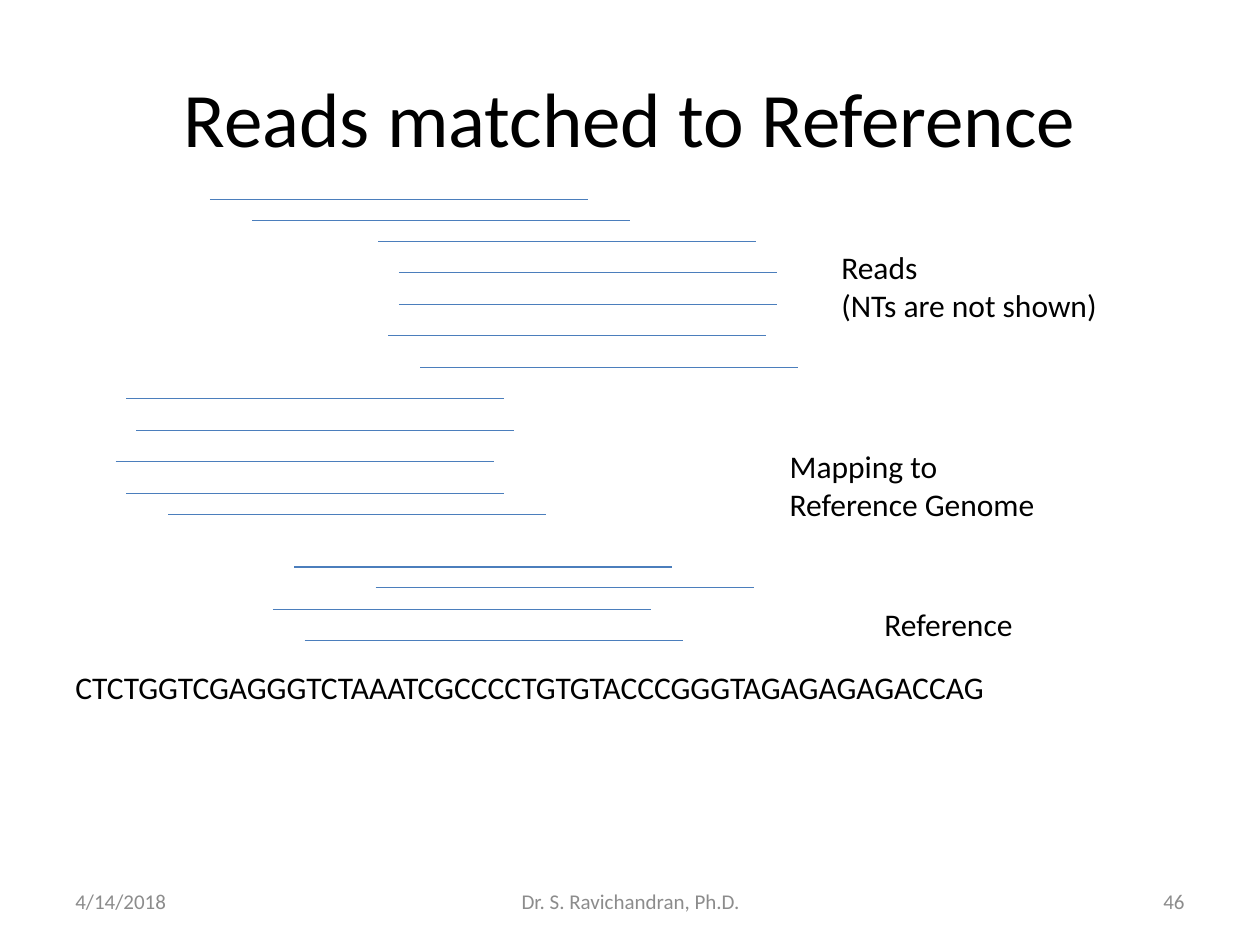
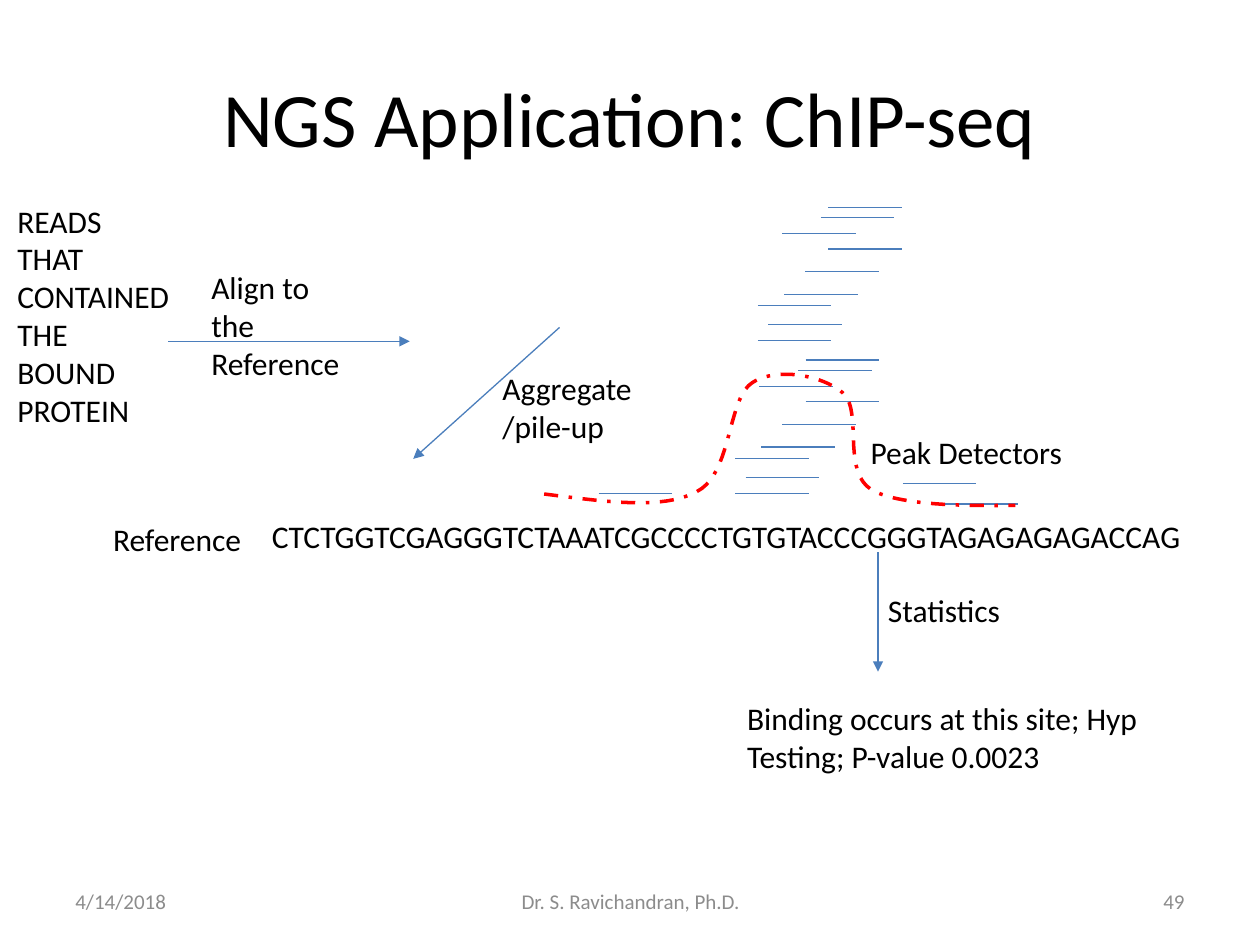
from lxml.etree import SubElement
from pptx import Presentation
from pptx.dml.color import RGBColor
from pptx.enum.dml import MSO_LINE
from pptx.enum.shapes import MSO_CONNECTOR
from pptx.enum.text import MSO_ANCHOR as ANCHOR, PP_ALIGN as ALIGN
from pptx.oxml.ns import qn
from pptx.util import Cm, Pt

BLACK = RGBColor(0x00, 0x00, 0x00)
GREY = RGBColor(0x8C, 0x8C, 0x8C)
BLUE = RGBColor(0x4B, 0x7E, 0xBC)
RED = RGBColor(0xFF, 0x00, 0x00)

SEQUENCE = "CTCTGGTCGAGGGTCTAAATCGCCCCTGTGTACCCGGGTAGAGAGAGACCAG"

# Left end and height of each read, in cm
MATCHED_READS = [
    (4.23, 4.02), (5.08, 4.45), (7.62, 4.87), (8.04, 5.5),
    (8.04, 6.14), (7.83, 6.77), (8.47, 7.41), (2.54, 8.04),
    (2.75, 8.68), (2.33, 9.31), (2.54, 9.95), (3.39, 10.37),
    (5.93, 11.43), (7.57, 11.85), (5.5, 12.28), (6.14, 12.91),
]
PILE = [
    (14.82, 9.95), (15.03, 9.62), (14.82, 9.24), (15.35, 9.01), (15.77, 8.56),
    (16.24, 8.1), (15.31, 7.79), (16.09, 7.47), (16.24, 7.26),
]
PILE_SHIFTS = [(0, 0), (0.46, -3.08)]
STRAY_READS = [(19.05, 10.16), (18.2, 9.74), (12.07, 9.95)]

# Start point, then two control points and an end point per segment
PEAK = [
    (10.97, 9.96),
    (12.17, 10.11), (13.36, 10.29), (14.05, 9.91),
    (14.76, 9.55), (14.66, 8.05), (15.16, 7.72),
    (15.65, 7.39), (16.59, 7.57), (16.99, 7.92),
    (17.4, 8.28), (16.97, 9.47), (17.55, 9.86),
    (18.14, 10.24), (19.89, 10.19), (20.47, 10.19),
]


def bezier_points(nodes, steps=20):
    """Sample a chain of cubic Bezier segments."""
    points = [nodes[0]]
    for i in range(0, len(nodes) - 1, 3):
        a, b, c, d = nodes[i:i + 4]
        for k in range(1, steps + 1):
            t = k / steps
            u = 1 - t
            weights = (u ** 3, 3 * u * u * t, 3 * u * t * t, t ** 3)
            points.append(tuple(sum(w * n[axis] for w, n in zip(weights, (a, b, c, d)))
                                for axis in (0, 1)))
    return points


class Deck:
    """Holds the shared style and draws on the current slide, in cm."""

    font = "Calibri"

    def __init__(self):
        self.prs = Presentation()
        self.prs.slide_width, self.prs.slide_height = Cm(25.4), Cm(19.05)
        self.s = None

    def slide(self, title, number):
        self.s = self.prs.slides.add_slide(self.prs.slide_layouts[6])
        self.text(title, 1.27, 0.76, 22.86, 3.18, size=44,
                  align=ALIGN.CENTER, anchor=ANCHOR.MIDDLE)
        footers = [("4/14/2018", 1.27, 5.92, ALIGN.LEFT),
                   ("Dr. S. Ravichandran, Ph.D.", 8.69, 8.05, ALIGN.CENTER),
                   (str(number), 18.21, 5.92, ALIGN.RIGHT)]
        for words, x, w, align in footers:
            self.text(words, x, 17.65, w, 1.02, size=12, color=GREY,
                      align=align, anchor=ANCHOR.MIDDLE)

    def text(self, words, x, y, w, h=1.02, size=18, color=BLACK,
             align=ALIGN.LEFT, anchor=ANCHOR.TOP, wrap=True):
        tf = self.s.shapes.add_textbox(Cm(x), Cm(y), Cm(w), Cm(h)).text_frame
        tf.word_wrap = wrap
        tf.vertical_anchor = anchor
        tf.text = words
        for p in tf.paragraphs:
            p.alignment = align
            for r in p.runs:
                r.font.name, r.font.size = self.font, Pt(size)
                r.font.color.rgb = color

    def line(self, x1, y1, x2, y2, arrow=False):
        sp = self.s.shapes.add_connector(MSO_CONNECTOR.STRAIGHT,
                                         Cm(x1), Cm(y1), Cm(x2), Cm(y2))
        sp.line.color.rgb = BLUE
        sp.line.width = Pt(0.75)
        if arrow:
            SubElement(sp.line._get_or_add_ln(), qn("a:tailEnd"), type="triangle")
        SubElement(sp._element.spPr, qn("a:effectLst"))

    def reads(self, starts, length):
        for x, y in starts:
            self.line(x, y, x + length, y)

    def curve(self, nodes):
        start, *rest = [(Cm(x), Cm(y)) for x, y in bezier_points(nodes)]
        builder = self.s.shapes.build_freeform(*start)
        builder.add_line_segments(rest, close=False)
        sp = builder.convert_to_shape()
        sp.shadow.inherit = False
        sp.fill.background()
        sp.line.color.rgb = RED
        sp.line.width = Pt(2)
        sp.line.dash_style = MSO_LINE.DASH_DOT


def matched_reads(deck):
    deck.slide("Reads matched to Reference", 46)
    deck.reads(MATCHED_READS, 7.62)
    deck.text(SEQUENCE, 1.27, 13.34, 20.12)
    deck.text("Reference", 17.58, 12.07, 3.81)
    deck.text("Reads\v(NTs are not shown)", 16.71, 4.88, 5.72, 1.8, wrap=False)
    deck.text("Mapping to Reference Genome", 15.67, 8.89, 5.92, 1.8)


def chip_seq(deck):
    deck.slide("NGS Application: ChIP-seq", 49)
    deck.line(3.39, 6.88, 8.26, 6.88, arrow=True)
    deck.text("Align to the Reference", 4.01, 5.28, 3.18, 2.57)
    deck.text("READS\nTHAT\vCONTAINED\vTHE BOUND\vPROTEIN", 0.1, 3.94, 3.61, 7.19)
    deck.line(11.28, 6.6, 8.33, 9.25, arrow=True)
    deck.text("Aggregate/pile-up", 9.88, 7.32, 3.33, 1.8)
    deck.text(SEQUENCE, 5.23, 10.29, 20.12)
    deck.text("Reference", 2.03, 10.36, 3.81)
    for dx, dy in PILE_SHIFTS:
        deck.reads([(x + dx, y + dy) for x, y in PILE], 1.48)
    deck.reads(STRAY_READS, 1.48)
    deck.curve(PEAK)
    deck.line(17.7, 11.13, 17.7, 13.54, arrow=True)
    deck.text("Statistics", 17.65, 11.79, 3.18)
    deck.text("Binding occurs at this site; Hyp Testing; P-value 0.0023",
              14.81, 13.97, 8.41, 1.8)
    deck.text("Peak Detectors", 17.3, 8.61, 5.92)


def main():
    deck = Deck()
    matched_reads(deck)
    chip_seq(deck)
    deck.prs.save("out.pptx")


if __name__ == "__main__":
    main()
